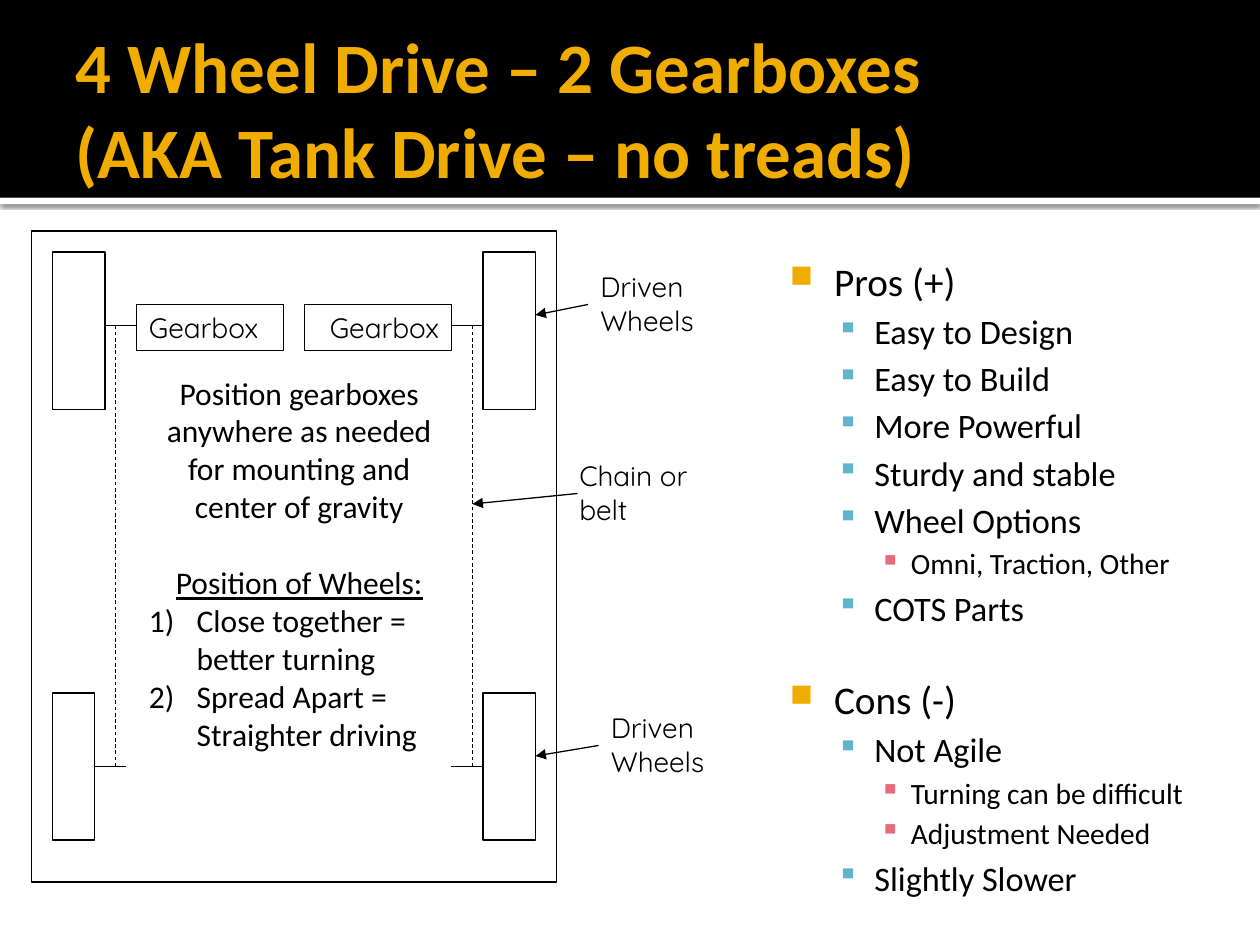
from lxml.etree import SubElement
from pptx import Presentation
from pptx.dml.color import RGBColor
from pptx.enum.dml import MSO_LINE
from pptx.enum.shapes import MSO_CONNECTOR as CONNECTOR, MSO_SHAPE as SHAPE
from pptx.enum.text import MSO_ANCHOR as ANCHOR, MSO_AUTO_SIZE as AUTO_SIZE, PP_ALIGN as ALIGN
from pptx.oxml.ns import qn
from pptx.util import Inches, Pt

BLACK, WHITE, GOLD, BLUE, PINK = "000000", "FFFFFF", "F0AD00", "60B5CC", "E66C7D"

LEVELS = [
    {"size": 22.4, "left": 0.48, "hang": 0.35, "before": 0, "bullet": "■", "color": GOLD, "scale": 80},
    {"size": 19.6, "left": 0.8, "hang": 0.3, "before": 3.5, "bullet": "▪", "color": BLUE, "scale": 90},
    {"size": 16.8, "left": 1.09, "hang": 0.25, "before": 3, "bullet": "▪", "color": PINK, "scale": 100},
]
OUTLINE = [
    (0, "Pros (+)"),
    (1, "Easy to Design"),
    (1, "Easy to Build"),
    (1, "More Powerful"),
    (1, "Sturdy and stable"),
    (1, "Wheel Options"),
    (2, "Omni, Traction, Other"),
    (1, "COTS Parts"),
    (0, "Cons (-)"),
    (1, "Not Agile"),
    (2, "Turning can be difficult"),
    (2, "Adjustment Needed"),
    (1, "Slightly Slower"),
]


def rgb(color):
    return RGBColor.from_string(color)


def grid(*cells):
    return [Inches(cell / 12) for cell in cells]


def style(paragraph, size, name="Calibri", color=BLACK):
    font = paragraph.font
    font.size, font.name = Pt(size), name
    font.color.rgb = rgb(color)


def next_paragraph(frame, index, text):
    paragraph = frame.add_paragraph() if index else frame.paragraphs[0]
    paragraph.text = text
    return paragraph


def indent(paragraph, left, hang):
    properties = paragraph._p.get_or_add_pPr()
    properties.set("marL", str(Inches(left)))
    properties.set("indent", str(-Inches(hang)))
    return properties


def add_band(slide, top, height, color):
    band = slide.shapes.add_shape(SHAPE.RECTANGLE, 0, Inches(top), Inches(10), Inches(height))
    band.shadow.inherit = False
    band.fill.solid()
    band.fill.fore_color.rgb = rgb(color)
    band.line.fill.background()
    slide.shapes.title.element.addprevious(band.element)
    return band


def add_shadow(shape):
    effects = shape.element.spPr.find(qn("a:effectLst"))
    shadow = SubElement(effects, qn("a:outerShdw"), blurRad=str(Pt(2.5)), dist=str(Pt(0.8)),
                        dir="5400000", algn="tl", rotWithShape="0")
    color = SubElement(shadow, qn("a:srgbClr"), val=BLACK)
    SubElement(color, qn("a:alpha"), val="60000")


def add_title(slide, text):
    title = slide.shapes.title
    title.left, title.top, title.width, title.height = map(Inches, (0.5, 0.17, 9, 1.37))
    frame = title.text_frame
    frame.auto_size = AUTO_SIZE.NONE
    frame.vertical_anchor = ANCHOR.MIDDLE
    frame.margin_left = Inches(0.1)
    frame.margin_top = frame.margin_right = frame.margin_bottom = Inches(0.05)
    frame.text = text
    paragraph = frame.paragraphs[0]
    paragraph.alignment = ALIGN.LEFT
    style(paragraph, 40.5, color=GOLD)
    paragraph.font.bold = True


def add_box(shapes, *cells):
    box = shapes.add_shape(SHAPE.RECTANGLE, *grid(*cells))
    box.shadow.inherit = False
    box.fill.background()
    box.line.color.rgb = rgb(BLACK)
    box.line.width = Pt(0.75)
    return box


def add_line(shapes, *cells, width=0.75, dashed=False, arrow=False):
    line = shapes.add_connector(CONNECTOR.STRAIGHT, *grid(*cells))
    line.line.color.rgb = rgb(BLACK)
    line.line.width = Pt(width)
    if dashed:
        line.line.dash_style = MSO_LINE.DASH
    properties = line.element.spPr
    if arrow:
        SubElement(properties.find(qn("a:ln")), qn("a:tailEnd"), type="triangle")
    SubElement(properties, qn("a:effectLst"))
    return line


def write_label(shape, text, alignment=ALIGN.LEFT):
    frame = shape.text_frame
    frame.word_wrap = True
    frame.vertical_anchor = ANCHOR.BOTTOM
    paragraph = next_paragraph(frame, 0, text)
    paragraph.alignment = alignment
    style(paragraph, 16, "Quicksand")


def add_callout(shapes, text, left, top, arrow):
    write_label(shapes.add_textbox(*grid(left, top, 13, 7.7)), text)
    add_line(shapes, *arrow, arrow=True)


def add_chassis(slide):
    shapes = slide.shapes.add_group_shape().shapes
    add_box(shapes, 3, 22, 50, 62)
    for left in (5, 46):
        add_box(shapes, left, 24, 5, 15)
    left_wheel = add_box(shapes, 5, 66, 4, 14)
    right_wheel = add_box(shapes, 46, 66, 5, 14)
    for left, alignment in ((13, ALIGN.LEFT), (29, ALIGN.RIGHT)):
        write_label(add_box(shapes, left, 29, 14, 4.4), "Gearbox", alignment)
    for left in (10, 43):
        add_line(shapes, left, 31, left + 3, 31)
    add_line(shapes, 9, 73, 12, 73).begin_connect(left_wheel, 3)
    add_line(shapes, 43, 73, 46, 73).end_connect(right_wheel, 1)
    for column in (11, 45):
        add_line(shapes, column, 31, column, 73, width=0.5, dashed=True)


def add_advice(slide):
    frame = slide.shapes.add_textbox(*grid(13, 35, 31, 37.5)).text_frame
    frame.word_wrap = True
    texts = [
        "Position gearboxes anywhere as needed for mounting and center of gravity",
        "Position of Wheels:",
        "Close together = better turning",
        "Spread Apart = Straighter driving",
    ]
    for index, text in enumerate(texts):
        paragraph = next_paragraph(frame, index, text)
        if index < 2:
            paragraph.alignment = ALIGN.CENTER
        else:
            SubElement(indent(paragraph, 0.38, 0.38), qn("a:buAutoNum"), type="arabicParenR")
        style(paragraph, 18)
        if index == 1:
            paragraph.space_before = Pt(22)
            paragraph.font.underline = True


def add_outline(slide):
    box = slide.shapes.add_textbox(*map(Inches, (6.08, 1.94, 3.67, 5.06)))
    frame = box.text_frame
    frame.word_wrap = True
    frame.margin_left, frame.margin_top = Inches(0.06), Inches(0.1)
    for index, (depth, text) in enumerate(OUTLINE):
        level = LEVELS[depth]
        paragraph = next_paragraph(frame, index, text)
        paragraph.level = depth
        properties = indent(paragraph, level["left"], level["hang"])
        color = SubElement(properties, qn("a:buClr"))
        SubElement(color, qn("a:srgbClr"), val=level["color"])
        SubElement(properties, qn("a:buSzPct"), val=str(level["scale"] * 1000))
        SubElement(properties, qn("a:buChar"), char=level["bullet"])
        if index:
            paragraph.space_before = Pt(level["before"] or 27)
        style(paragraph, level["size"])


def main():
    presentation = Presentation()
    presentation.slide_width, presentation.slide_height = Inches(10), Inches(7.5)
    slide = presentation.slides.add_slide(presentation.slide_layouts[5])
    add_shadow(add_band(slide, 1.57, 0.05, WHITE))
    add_band(slide, 0, 1.57, BLACK)
    add_title(slide, "4 Wheel Drive – 2 Gearboxes\v(AKA Tank Drive – no treads)")
    add_outline(slide)
    add_chassis(slide)
    add_callout(slide.shapes, "Driven Wheels", 56, 25, (56, 29, 51, 30))
    add_callout(slide.shapes, "Chain or belt", 54, 43, (55, 47, 45, 48))
    add_callout(slide.shapes, "Driven Wheels", 57, 67, (57, 71, 51, 72))
    add_advice(slide)
    presentation.save("out.pptx")


if __name__ == "__main__":
    main()
